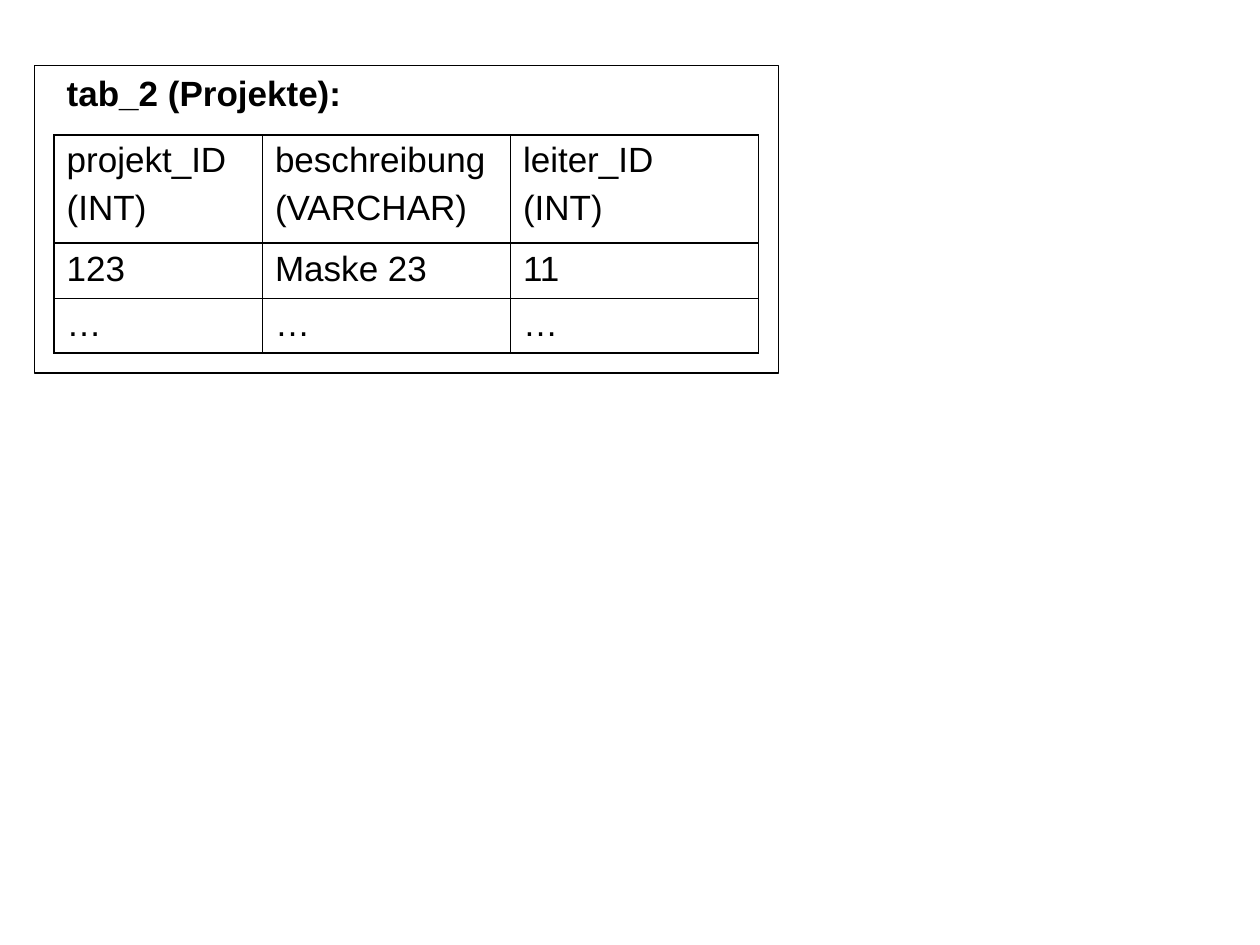
from dataclasses import dataclass

from lxml import etree
from pptx import Presentation
from pptx import util as u
from pptx.dml.color import RGBColor
from pptx.enum import shapes, text
from pptx.oxml.ns import qn


@dataclass(frozen=True)
class Theme:
    ink: str = "000000"
    font: str = "Arial"
    size: float = 20
    frame_line: float = 0.75
    thick: float = 1.08
    thin: float = 0.45


@dataclass(frozen=True)
class Column:
    width: float
    entries: tuple[str, ...]


@dataclass(frozen=True)
class Box:
    left: float
    top: float
    width: float
    height: float

    def lengths(self) -> tuple[u.Length, ...]:
        return tuple(u.Cm(n) for n in (self.left, self.top, self.width, self.height))


THEME = Theme()
COLUMNS = (
    Column(4.2, ("projekt_ID\n(INT)", "123", "…")),
    Column(5, ("beschreibung\n(VARCHAR)", "Maske 23", "…")),
    Column(5, ("leiter_ID\n(INT)", "11", "…")),
)
ROW_HEIGHTS = (2.18, 1.11, 1.11)
ROW_RULES = (THEME.thick, THEME.thick, THEME.thin, THEME.thick)
COLUMN_RULES = (THEME.thick, THEME.thin, THEME.thin, THEME.thick)


def style_text(frame, bold: bool = False) -> None:
    for index, paragraph in enumerate(frame.paragraphs):
        paragraph.alignment = text.PP_ALIGN.LEFT
        paragraph.space_before = u.Pt(5 if index else 0)
        paragraph.font.name = THEME.font
        paragraph.font.size = u.Pt(THEME.size)
        paragraph.font.bold = bold
        paragraph.font.color.rgb = RGBColor.from_string(THEME.ink)


def add_border(cell, side: str, points: float) -> None:
    properties = cell._tc.get_or_add_tcPr()
    line = etree.SubElement(properties, qn(f"a:ln{side}"), w=str(int(u.Pt(points))))
    fill = etree.SubElement(line, qn("a:solidFill"))
    etree.SubElement(fill, qn("a:srgbClr"), val=THEME.ink)


def draw_heading(heading, caption: str, box: Box) -> None:
    heading.left, heading.top, heading.width, heading.height = box.lengths()
    frame = heading.text_frame
    frame.text = caption
    frame.word_wrap = False
    frame.auto_size = text.MSO_AUTO_SIZE.SHAPE_TO_FIT_TEXT
    frame.vertical_anchor = text.MSO_ANCHOR.TOP
    style_text(frame, bold=True)


def draw_projects(slide, left: float, top: float) -> None:
    box = Box(left, top, sum(c.width for c in COLUMNS), sum(ROW_HEIGHTS))
    projects = slide.shapes.add_table(len(ROW_HEIGHTS), len(COLUMNS), *box.lengths()).table
    projects.first_row = projects.horz_banding = False
    for row, height in zip(projects.rows, ROW_HEIGHTS):
        row.height = u.Cm(height)
    for c, column in enumerate(COLUMNS):
        projects.columns[c].width = u.Cm(column.width)
        for r, entry in enumerate(column.entries):
            cell = projects.cell(r, c)
            cell.text = entry
            style_text(cell.text_frame)
            add_border(cell, "L", COLUMN_RULES[c])
            add_border(cell, "R", COLUMN_RULES[c + 1])
            add_border(cell, "T", ROW_RULES[r])
            add_border(cell, "B", ROW_RULES[r + 1])
            cell.fill.background()


def draw_frame(slide, box: Box) -> None:
    frame = slide.shapes.add_shape(shapes.MSO_SHAPE.RECTANGLE, *box.lengths())
    frame.shadow.inherit = False
    frame.fill.background()
    frame.line.color.rgb = RGBColor.from_string(THEME.ink)
    frame.line.width = u.Pt(THEME.frame_line)


def main() -> None:
    deck = Presentation()
    deck.slide_width, deck.slide_height = u.Cm(25.4), u.Cm(19.05)
    slide = deck.slides.add_slide(deck.slide_layouts[5])
    draw_heading(slide.shapes.title, "tab_2 (Projekte):", Box(1.09, 1.32, 6.05, 1.12))
    draw_projects(slide, 1.09, 2.72)
    draw_frame(slide, Box(0.69, 1.32, 15.01, 6.2))
    deck.save("out.pptx")


if __name__ == "__main__":
    main()
